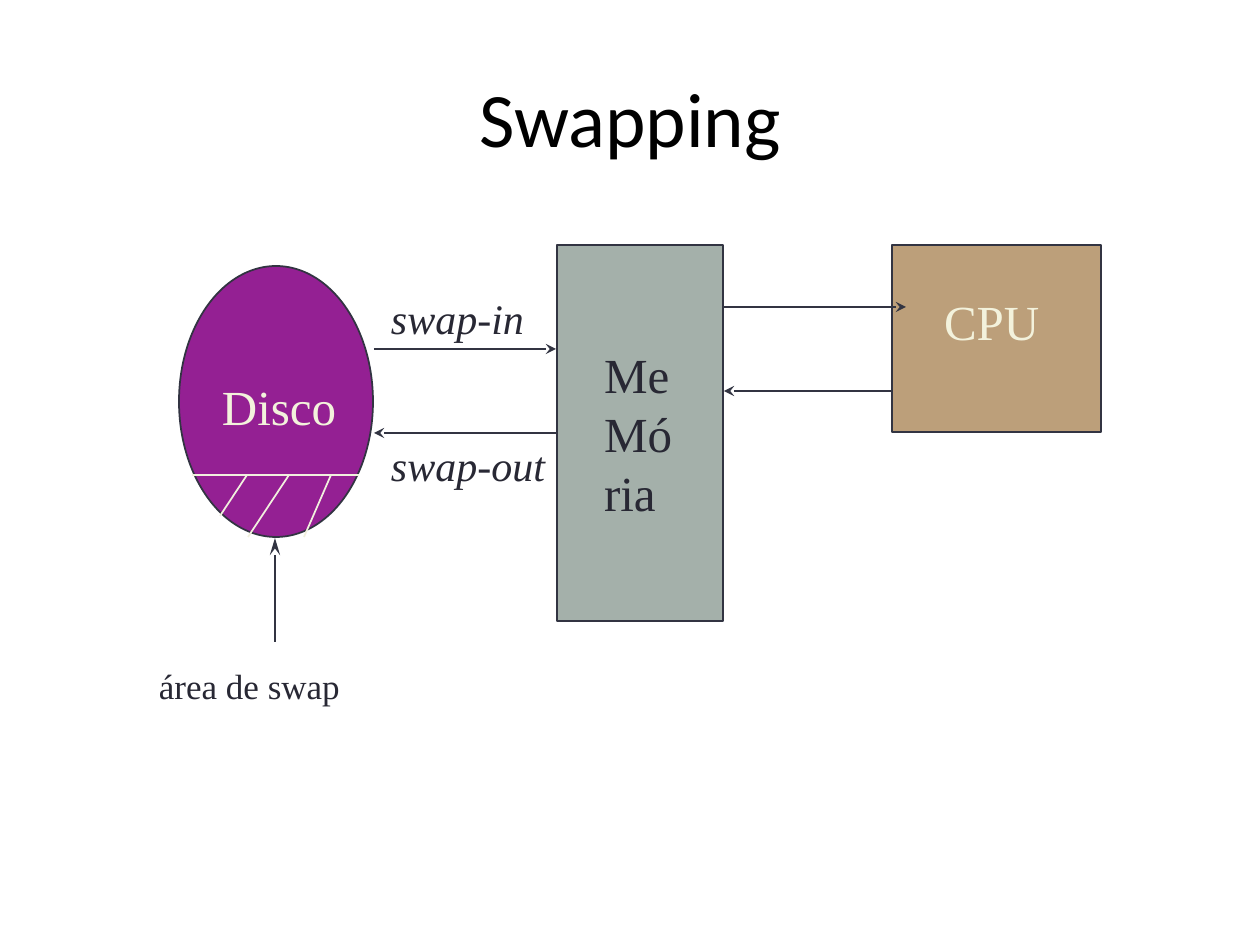
from pptx import Presentation
from pptx.dml.color import RGBColor
from pptx.enum.shapes import MSO_CONNECTOR, MSO_SHAPE
from pptx.enum.text import MSO_ANCHOR, PP_ALIGN
from pptx.oxml.ns import qn
from pptx.util import Pt
from lxml.etree import SubElement

PX = 914400 / 126
COLORS = {
    "title": "000000",
    "ink": "282834",
    "line": "323442",
    "light": "F3F2DC",
    "hatch": "F1F0DE",
    "memory": "A4B0AA",
    "cpu": "BC9F7A",
    "disk": "942093",
}


def px(*values):
    return [round(v * PX) for v in values]


def rgb(name):
    return RGBColor.from_string(COLORS[name])


class Diagram:
    font = "Times New Roman"
    line_width = Pt(1)

    def __init__(self, slide):
        self.slide = slide

    def shape(self, kind, box, fill):
        s = self.slide.shapes.add_shape(kind, *px(*box))
        s.shadow.inherit = False
        s.fill.solid()
        s.fill.fore_color.rgb = rgb(fill)
        s.line.color.rgb = rgb("line")
        s.line.width = self.line_width

    def run(self, p, text, size, color, font, italic=False):
        r = p.add_run()
        r.text = text
        r.font.size = Pt(size)
        r.font.name = font
        r.font.italic = italic
        r.font.color.rgb = rgb(color)

    def title(self, text, box):
        tf = self.slide.shapes.add_textbox(*px(*box)).text_frame
        tf.word_wrap = True
        tf.vertical_anchor = MSO_ANCHOR.MIDDLE
        p = tf.paragraphs[0]
        p.alignment = PP_ALIGN.CENTER
        self.run(p, text, 44, "title", "Calibri")

    def label(self, text, box, size, color="ink", italic=False):
        tf = self.slide.shapes.add_textbox(*px(*box)).text_frame
        tf.word_wrap = True
        tf.margin_left = tf.margin_right = tf.margin_top = tf.margin_bottom = 0
        p = tf.paragraphs[0]
        p.line_spacing = 1.07
        p.space_after = Pt(8)
        self.run(p, text, size, color, self.font, italic)

    def line(self, points, color="line"):
        s = self.slide.shapes.add_connector(MSO_CONNECTOR.STRAIGHT, *px(*points))
        s.line.color.rgb = rgb(color)
        s.line.width = self.line_width
        SubElement(s._element.spPr, qn("a:effectLst"))
        return s

    def arrow(self, points, length="med"):
        ln = self.line(points).line._get_or_add_ln()
        SubElement(ln, qn("a:tailEnd"), type="stealth", w="med", len=length)


def main():
    prs = Presentation()
    prs.slide_width, prs.slide_height = px(1260, 945)
    d = Diagram(prs.slides.add_slide(prs.slide_layouts[6]))

    d.title("Swapping", (63, 38, 1134, 157))
    d.shape(MSO_SHAPE.RECTANGLE, (557, 245, 166, 376), "memory")
    d.shape(MSO_SHAPE.RECTANGLE, (892, 245, 209, 187), "cpu")
    d.shape(MSO_SHAPE.OVAL, (179, 266, 194, 271), "disk")

    d.label("Disco", (222, 372, 169, 72), 28, "light")
    for i, syllable in enumerate(("Me", "Mó", "ria")):
        d.label(syllable, (604, 340 + 59 * i, 107, 72), 28)
    d.label("CPU", (944, 287, 144, 72), 28, "light")

    for points in ((374, 349, 556, 349), (556, 433, 374, 433),
                   (723, 307, 906, 307), (892, 391, 724, 391)):
        d.arrow(points)

    hatch_top = 475
    d.line((192, hatch_top, 359, hatch_top), "hatch")
    for bottom_x, bottom_y, top_x in ((220, 516, 247), (248, 537, 289), (304, 537, 331)):
        d.line((bottom_x, bottom_y, top_x, hatch_top), "hatch")

    d.arrow((275, 642, 275, 538), "lg")
    d.label("área de swap", (159, 662, 252, 52), 20)
    d.label("swap-in", (391, 289, 190, 62), 24, italic=True)
    d.label("swap-out", (391, 436, 219, 62), 24, italic=True)

    prs.save("out.pptx")


if __name__ == "__main__":
    main()
